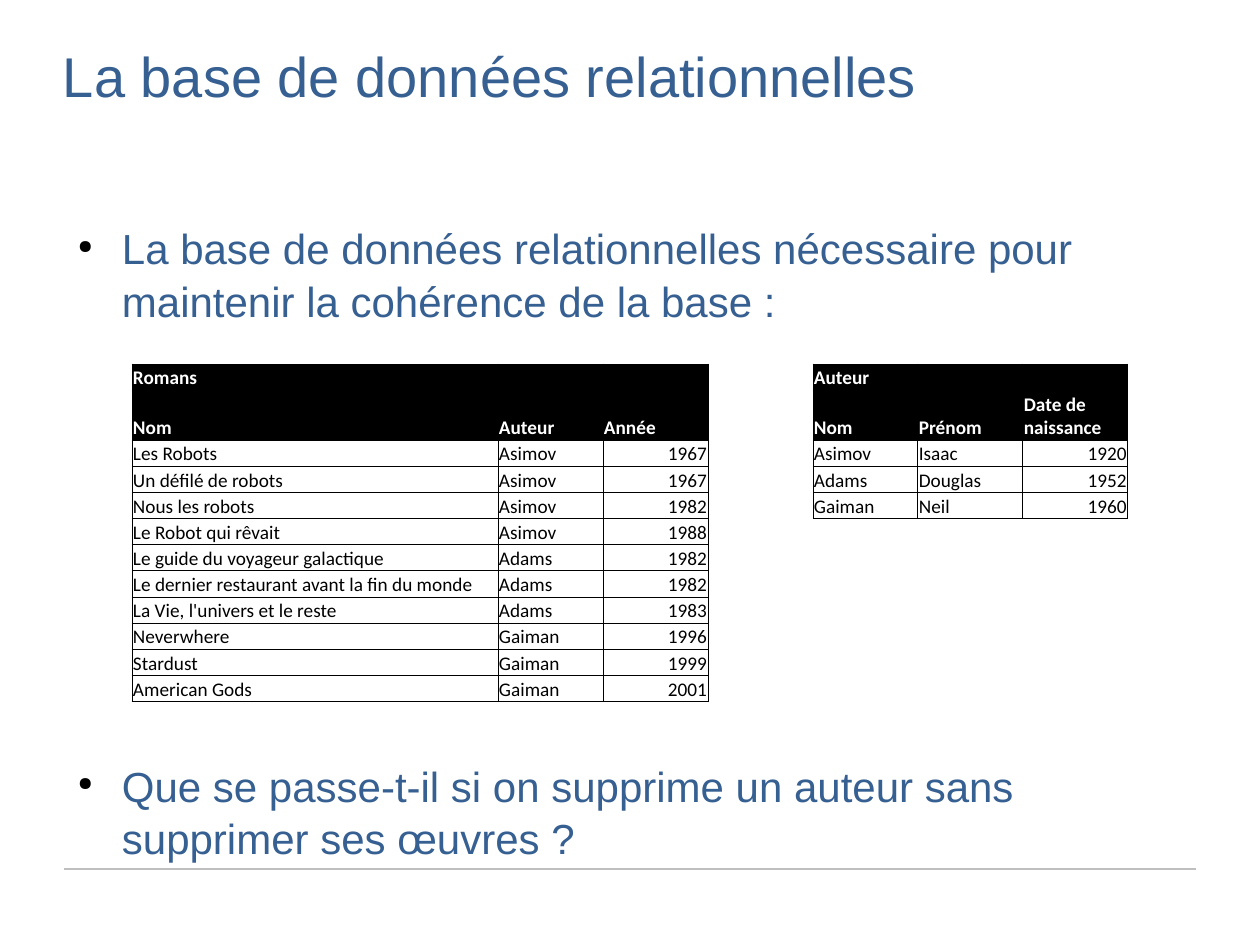
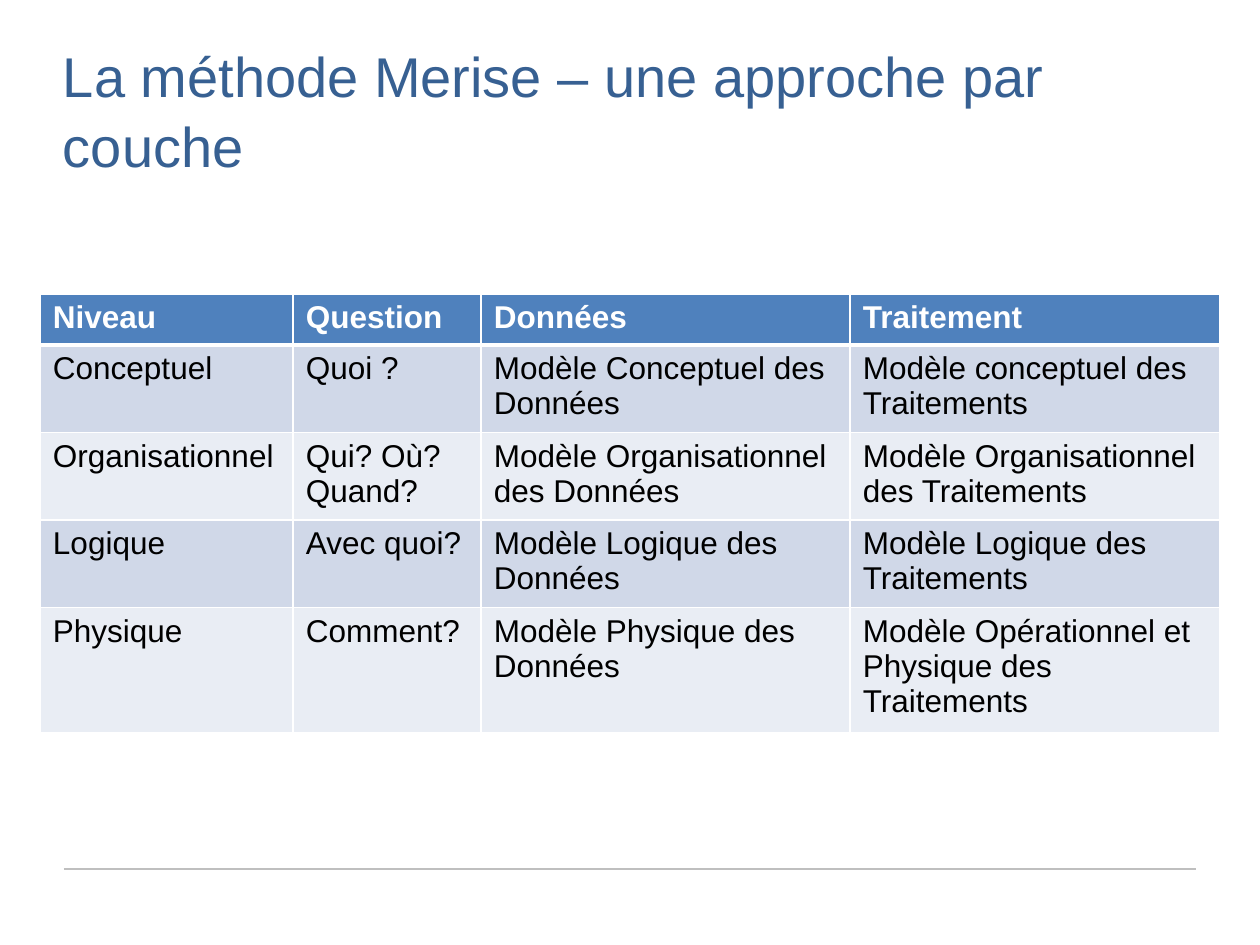
from dataclasses import dataclass
from typing import Any, Callable

from lxml.etree import SubElement
from pptx import Presentation
from pptx.dml.color import RGBColor
from pptx.enum.shapes import MSO_CONNECTOR as Connector
from pptx.enum.text import MSO_ANCHOR as Anchor, PP_ALIGN as Align
from pptx.oxml import parse_xml
from pptx.oxml.ns import nsdecls, qn
from pptx.util import Pt

SCALE = 914400 / 126
TITLE_BLUE = "376092"
RULE_GREY = "BFBFBF"
HEADER_BLUE = "4F81BD"
BAND_DARK = "D0D8E8"
BAND_LIGHT = "E9EDF4"
BLACK = "000000"
WHITE = "FFFFFF"


def px(length: float) -> int:
    return round(length * SCALE)


def colour(value: str) -> RGBColor:
    return RGBColor.from_string(value)


def apply(target: Any, values: dict[str, Any]) -> None:
    for name, value in values.items():
        setattr(target, name, value)


@dataclass(frozen=True)
class Style:
    size: float
    color: str
    font: str = "Arial"
    bold: bool = False


@dataclass(frozen=True)
class Cell:
    text: str
    style: Style
    fill: str | None
    borders: dict[str, tuple[str, float]]
    align: Align = Align.LEFT


@dataclass(frozen=True)
class Grid:
    left: int
    top: int
    columns: list[int]
    rows: list[float]
    margins: tuple[int, int, int, int]
    anchor: Anchor


TITLE = Style(32, TITLE_BLUE)
BODY = Style(24, TITLE_BLUE)


def write(para: Any, text: str, style: Style) -> None:
    span = para.add_run()
    span.text = text
    apply(span.font, {"size": Pt(style.size), "name": style.font, "bold": style.bold})
    span.font.color.rgb = colour(style.color)


def add_frame(page: Any, top: int, height: int) -> Any:
    box = page.shapes.add_textbox(px(63), px(top), px(1134), px(height))
    frame = box.text_frame
    apply(frame, {"word_wrap": True, "margin_left": 0, "margin_top": 0,
                  "margin_right": 0, "margin_bottom": 0})
    return frame


def add_page(deck: Any, title: str) -> Any:
    page = deck.slides.add_slide(deck.slide_layouts[6])
    rule = page.shapes.add_connector(Connector.STRAIGHT, px(64), px(869), px(1196), px(869))
    rule.line.color.rgb = colour(RULE_GREY)
    rule.line.width = Pt(0.74)
    SubElement(rule._element.spPr, qn("a:effectLst"))
    para = add_frame(page, 38, 158).paragraphs[0]
    para.line_spacing = 1.05
    write(para, title, TITLE)
    return page


def add_bullet(para: Any, text: str, before: float) -> None:
    apply(para, {"line_spacing": 1.04, "space_before": Pt(before), "space_after": Pt(10.6)})
    properties = para._p.get_or_add_pPr()
    properties.set("marL", str(px(59)))
    properties.set("indent", str(px(-44)))
    marker = SubElement(properties, qn("a:buClr"))
    SubElement(marker, qn("a:srgbClr"), val=BLACK)
    SubElement(properties, qn("a:buSzPct"), val="45000")
    SubElement(properties, qn("a:buChar"), char="●")
    write(para, text, BODY)


def set_borders(cell: Any, borders: dict[str, tuple[str, float]]) -> None:
    properties = cell._tc.get_or_add_tcPr()
    for index, side in enumerate("LRTB"):
        if side in borders:
            tint, width = borders[side]
            paint = f'<a:solidFill><a:srgbClr val="{tint}"/></a:solidFill>'
        else:
            width, paint = 0, "<a:noFill/>"
        properties.insert(index, parse_xml(
            f'<a:ln{side} {nsdecls("a")} w="{Pt(width)}">{paint}</a:ln{side}>'))


def add_grid(page: Any, grid: Grid, describe: Callable[[int, int], Cell]) -> None:
    table = page.shapes.add_table(
        len(grid.rows), len(grid.columns), px(grid.left), px(grid.top),
        px(sum(grid.columns)), px(sum(grid.rows))).table
    apply(table, {"first_row": False, "horz_banding": False})
    for column, width in zip(table.columns, grid.columns):
        column.width = px(width)
    left, top, right, bottom = map(px, grid.margins)
    for row_index, row in enumerate(table.rows):
        row.height = px(grid.rows[row_index])
        for column_index, cell in enumerate(row.cells):
            content = describe(row_index, column_index)
            apply(cell, {"margin_left": left, "margin_top": top, "margin_right": right,
                         "margin_bottom": bottom, "vertical_anchor": grid.anchor})
            if content.fill:
                cell.fill.solid()
                cell.fill.fore_color.rgb = colour(content.fill)
            else:
                cell.fill.background()
            set_borders(cell, content.borders)
            para = cell.text_frame.paragraphs[0]
            para.alignment = content.align
            if content.text:
                write(para, content.text, content.style)
            else:
                SubElement(para._p, qn("a:endParaRPr"), sz=str(round(content.style.size * 100)))


NOVELS = [
    ("Romans", "", ""),
    ("Nom", "Auteur", "Année"),
    ("Les Robots", "Asimov", "1967"),
    ("Un défilé de robots", "Asimov", "1967"),
    ("Nous les robots", "Asimov", "1982"),
    ("Le Robot qui rêvait", "Asimov", "1988"),
    ("Le guide du voyageur galactique", "Adams", "1982"),
    ("Le dernier restaurant avant la fin du monde", "Adams", "1982"),
    ("La Vie, l'univers et le reste", "Adams", "1983"),
    ("Neverwhere", "Gaiman", "1996"),
    ("Stardust", "Gaiman", "1999"),
    ("American Gods", "Gaiman", "2001"),
]
AUTHORS = [
    ("Auteur", "", ""),
    ("Nom", "Prénom", "Date de naissance"),
    ("Asimov", "Isaac", "1920"),
    ("Adams", "Douglas", "1952"),
    ("Gaiman", "Neil", "1960"),
]
LAYERS = [
    ("Niveau", "Question", "Données", "Traitement"),
    ("Conceptuel", "Quoi ?", "Modèle Conceptuel des Données",
     "Modèle conceptuel des Traitements"),
    ("Organisationnel", "Qui? Où? Quand?", "Modèle Organisationnel des Données",
     "Modèle Organisationnel des Traitements"),
    ("Logique", "Avec quoi?", "Modèle Logique des Données", "Modèle Logique des Traitements"),
    ("Physique", "Comment?", "Modèle Physique des Données",
     "Modèle Opérationnel et Physique des Traitements"),
]
NEIGHBOURS = {"L": (0, -1), "R": (0, 1), "T": (-1, 0), "B": (1, 0)}


def in_relation(row: int, column: int) -> bool:
    novels = 0 <= column < 3 and 0 <= row < len(NOVELS)
    authors = 4 <= column < 7 and 0 <= row < len(AUTHORS)
    return novels or authors


def relation_cell(row: int, column: int) -> Cell:
    inside = in_relation(row, column)
    header = inside and row < 2
    text = ""
    if inside:
        text = NOVELS[row][column] if column < 3 else AUTHORS[row][column - 4]
    borders = {side: (BLACK, 0.5) for side, (down, across) in NEIGHBOURS.items()
               if inside or in_relation(row + down, column + across)}
    fill = BLACK if header else None if inside else WHITE
    style = Style(11, WHITE if header else BLACK, "Calibri", header)
    return Cell(text, style, fill, borders, Align.RIGHT if text.isdigit() else Align.LEFT)


def layer_cell(row: int, column: int) -> Cell:
    header = row == 0
    borders = {side: (WHITE, 1) for side in NEIGHBOURS}
    if row < 2:
        borders["B" if header else "T"] = (WHITE, 3)
    fill = HEADER_BLUE if header else BAND_DARK if row % 2 else BAND_LIGHT
    style = Style(18, WHITE if header else BLACK, bold=header)
    return Cell(LAYERS[row][column], style, fill, borders)


def build_relations(deck: Any) -> None:
    page = add_page(deck, "La base de données relationnelles")
    frame = add_frame(page, 221, 512)
    add_bullet(frame.paragraphs[0], "La base de données relationnelles nécessaire pour "
               "maintenir la cohérence de la base :", 0)
    add_bullet(frame.add_paragraph(), "Que se passe-t-il si on supprime un auteur sans "
               "supprimer ses œuvres ?", 236.5)
    line = (338 - 50) / 11
    grid = Grid(132, 364, [366] + [105] * 6, [line, 50] + [line] * 10,
                (1, 1, 1, 0), Anchor.BOTTOM)
    add_grid(page, grid, relation_cell)


def build_layers(deck: Any) -> None:
    page = add_page(deck, "La méthode Merise – une approche par couche")
    grid = Grid(40, 294, [253, 188, 369, 370], [51, 83, 83, 83, 118],
                (13, 6, 13, 6), Anchor.TOP)
    add_grid(page, grid, layer_cell)


def main() -> None:
    deck = Presentation()
    apply(deck, {"slide_width": px(1260), "slide_height": px(945)})
    build_relations(deck)
    build_layers(deck)
    deck.save("out.pptx")


main()
